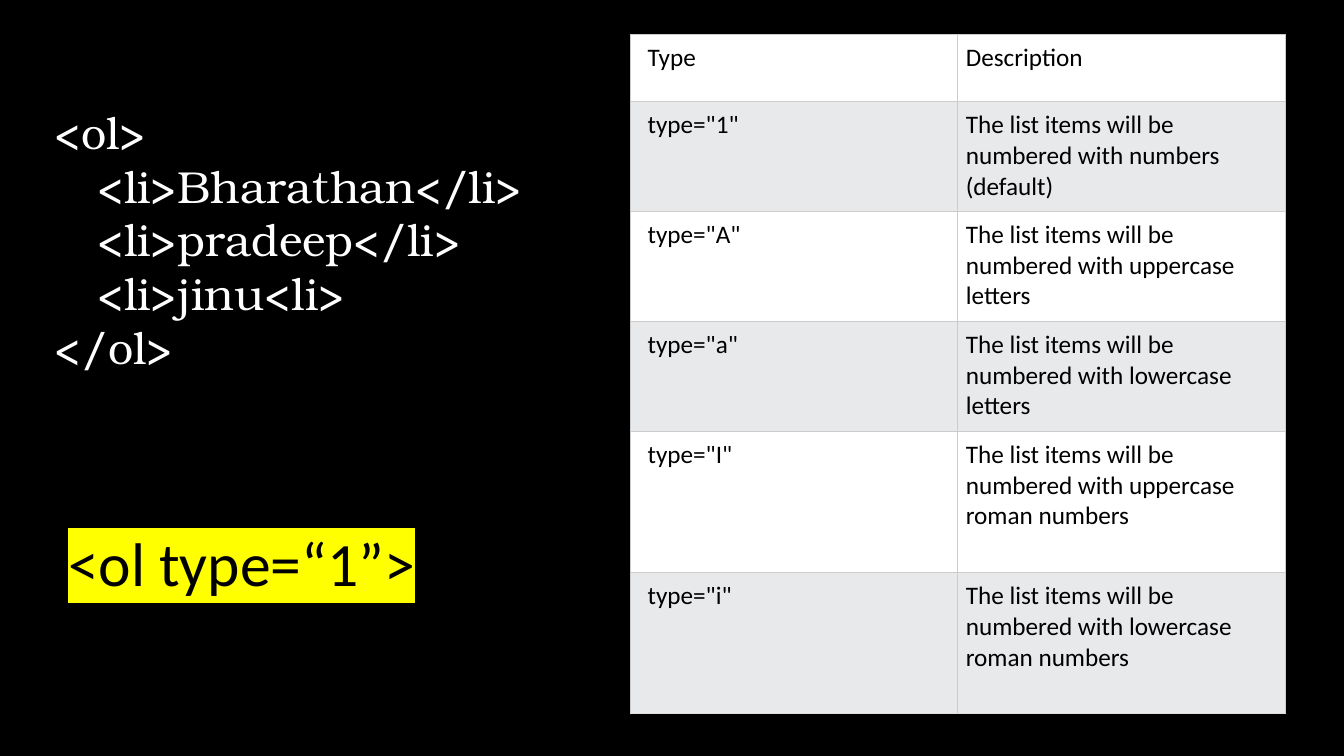
from lxml import etree
from pptx import Presentation
from pptx import util as u
from pptx.dml.color import RGBColor
from pptx.oxml import ns

COLORS = {
    "background": "000000",
    "code": "FFFFFF",
    "ink": "000000",
    "highlight": "FFFF00",
    "row": "FFFFFF",
    "band": "E7E9EB",
    "border": "CCCCCC",
    "last_border": "DDDDDD",
}

# Each code line with its nesting level
CODE_LINES = [
    ("<ol>", 0),
    ("<li>Bharathan</li>", 1),
    ("<li>pradeep</li>", 1),
    ("<li>jinu<li>", 1),
    ("</ol>", 0),
]

TYPE_ROWS = [("Type", "Description")] + [
    (f'type="{mark}"', f"The list items will be numbered with {style}")
    for mark, style in [
        ("1", "numbers (default)"),
        ("A", "uppercase letters"),
        ("a", "lowercase letters"),
        ("I", "uppercase roman numbers"),
        ("i", "lowercase roman numbers"),
    ]
]
ROW_HEIGHTS = [1.68, 2.77, 2.77, 2.77, 3.56, 3.56]


def rgb(name):
    return RGBColor.from_string(COLORS[name])


def format_runs(p, font, size, color):
    for r in p.runs:
        r.font.name = font
        r.font.size = u.Pt(size)
        r.font.color.rgb = rgb(color)


def add_color(parent, name):
    fill = etree.SubElement(parent, ns.qn("a:solidFill"))
    etree.SubElement(fill, ns.qn("a:srgbClr"), val=COLORS[name])


def set_borders(cell, bottom):
    """Draw the four cell edges; they must come before the fill in the XML."""
    tc_pr = cell._tc.get_or_add_tcPr()
    edges = [("L", "border"), ("R", "border"), ("T", "border"), ("B", bottom)]
    for i, (side, color) in enumerate(edges):
        ln = etree.Element(ns.qn(f"a:ln{side}"), w=str(u.Pt(0.75)))
        add_color(ln, color)
        tc_pr.insert(i, ln)


def add_text_box(slide, left, top, width, height):
    tf = slide.shapes.add_textbox(
        u.Cm(left), u.Cm(top), u.Cm(width), u.Cm(height)).text_frame
    tf.word_wrap = True
    return tf


def add_code(slide, left, top, width, height):
    tf = add_text_box(slide, left, top, width, height)
    tf.text = "\n".join(line for line, level in CODE_LINES)
    for p, (line, level) in zip(tf.paragraphs, CODE_LINES):
        format_runs(p, "TeX Gyre Bonum", 32, "code")
        p._p.get_or_add_pPr().set("marL", str(u.Cm(1.08 * level)))


def add_highlighted_tag(slide, left, top, width, height):
    p = add_text_box(slide, left, top, width, height).paragraphs[0]
    p.text = "<ol type=“1”>"
    format_runs(p, "Calibri", 44, "ink")
    r_pr = p.runs[0]._r.get_or_add_rPr()
    mark = etree.Element(ns.qn("a:highlight"))
    etree.SubElement(mark, ns.qn("a:srgbClr"), val=COLORS["highlight"])
    r_pr.find(ns.qn("a:solidFill")).addnext(mark)


def add_type_table(slide, left, top, width):
    table = slide.shapes.add_table(
        len(TYPE_ROWS), 2, u.Cm(left), u.Cm(top),
        u.Cm(width), u.Cm(sum(ROW_HEIGHTS))).table
    for column in table.columns:
        column.width = u.Cm(width / 2)
    for i, (texts, height) in enumerate(zip(TYPE_ROWS, ROW_HEIGHTS)):
        table.rows[i].height = u.Cm(height)
        is_last = i == len(TYPE_ROWS) - 1
        for j, content in enumerate(texts):
            cell = table.cell(i, j)
            cell.margin_left = u.Cm(0.2 if j else 0.43)
            cell.margin_right = cell.margin_top = cell.margin_bottom = u.Cm(0.2)
            cell.fill.solid()
            cell.fill.fore_color.rgb = rgb("band" if i % 2 else "row")
            set_borders(cell, "last_border" if is_last else "border")
            p = cell.text_frame.paragraphs[0]
            p.text = content
            format_runs(p, "Calibri", 18, "ink")
            p.runs[0].font.bold = False


def main():
    prs = Presentation()
    prs.slide_width, prs.slide_height = u.Cm(33.87), u.Cm(19.05)
    slide = prs.slides.add_slide(prs.slide_layouts[6])
    slide.background.fill.solid()
    slide.background.fill.fore_color.rgb = rgb("background")
    add_type_table(slide, 15.89, 0.88, 16.5)
    add_code(slide, 1.12, 2.51, 16.94, 7.09)
    add_highlighted_tag(slide, 1.47, 13.1, 11.63, 2.13)
    prs.save("out.pptx")


if __name__ == "__main__":
    main()
